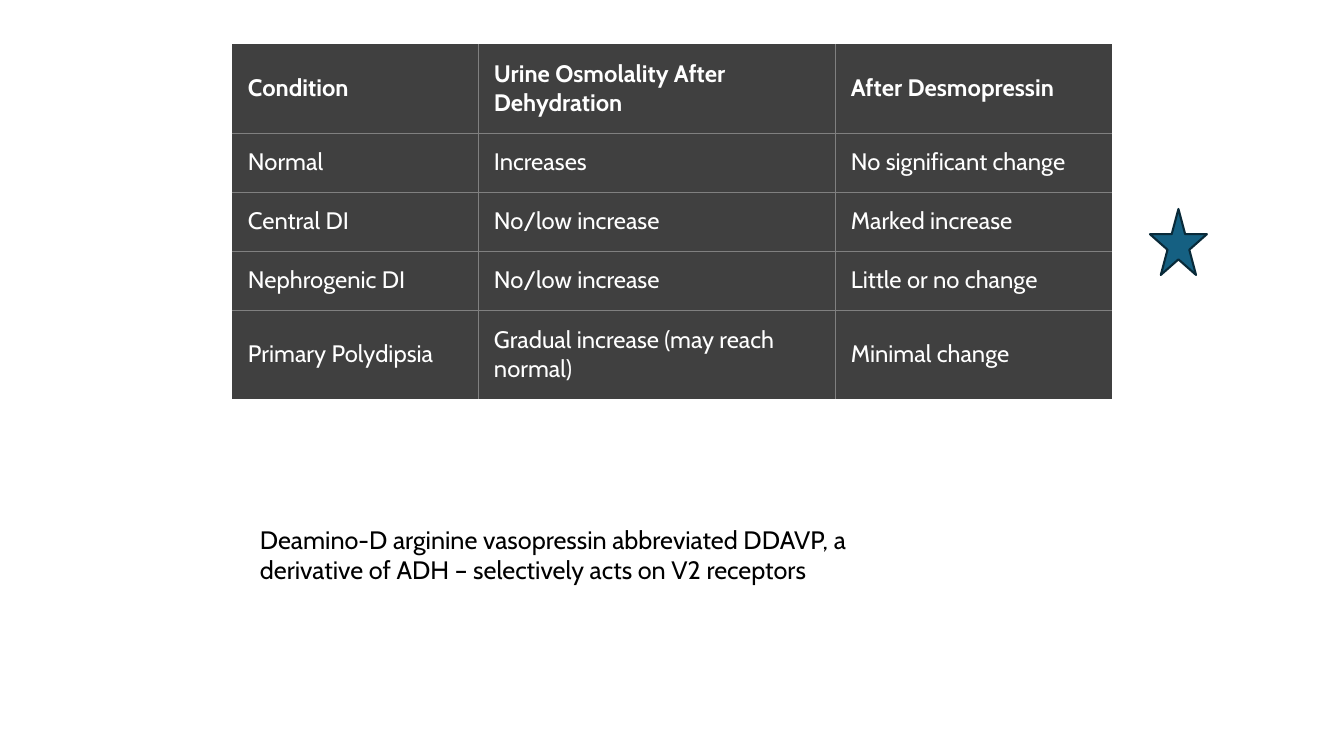
import lxml.etree
import pptx
import pptx.dml.color
import pptx.enum.shapes
import pptx.enum.text
import pptx.oxml
import pptx.oxml.ns
import pptx.util

PX = 914400 / 100.8
COLORS = {"cell": "404040", "grid": "808080", "light": "FFFFFF", "dark": "000000",
          "star": "156082", "star_line": "092A39"}
COL_WIDTHS = [246, 357, 277]
ROW_HEIGHTS = [89, 59, 59, 59, 89]
ROWS = [
    ["Condition", "Urine Osmolality After Dehydration", "After Desmopressin"],
    ["Normal", "Increases", "No significant change"],
    ["Central DI", "No/low increase", "Marked increase"],
    ["Nephrogenic DI", "No/low increase", "Little or no change"],
    ["Primary Polydipsia", "Gradual increase (may reach normal)", "Minimal change"],
]


def px(*lengths):
    return [pptx.util.Emu(round(n * PX)) for n in lengths]


def write(tf, text, size=18, color="dark", bold=False):
    r = tf.paragraphs[0].add_run()
    r.text = text
    r.font.name = "Cabin"
    r.font.size = pptx.util.Pt(size)
    r.font.bold = bold
    r.font.color.rgb = pptx.dml.color.RGBColor.from_string(COLORS[color])


prs = pptx.Presentation()
prs.slide_width, prs.slide_height = px(1344, 756)
s = prs.slides.add_slide(prs.slide_layouts[6])

# Table with grid lines between cells only
frame = s.shapes.add_table(len(ROWS), len(COL_WIDTHS),
                           *px(232, 44, sum(COL_WIDTHS), sum(ROW_HEIGHTS)))
table = frame.table
table.horz_banding = False
for column, width in zip(table.columns, px(*COL_WIDTHS)):
    column.width = width
for row, height in zip(table.rows, px(*ROW_HEIGHTS)):
    row.height = height

for i, row in enumerate(ROWS):
    for j, text in enumerate(row):
        cell = table.cell(i, j)
        cell.vertical_anchor = pptx.enum.text.MSO_ANCHOR.MIDDLE
        cell.margin_left, cell.margin_top, cell.margin_right, cell.margin_bottom = px(16, 12, 12, 12)
        cell.fill.solid()
        cell.fill.fore_color.rgb = pptx.dml.color.RGBColor.from_string(COLORS["cell"])
        write(cell.text_frame, text, size=17, color="light", bold=i == 0)
        inner = {"lnL": j > 0, "lnR": j < len(row) - 1, "lnT": i > 0, "lnB": i < len(ROWS) - 1}
        tcPr = cell._tc.get_or_add_tcPr()
        for n, (side, shown) in enumerate(inner.items()):
            ln = pptx.oxml.parse_xml(f'<a:{side} {pptx.oxml.ns.nsdecls("a")} w="6350"/>')
            if shown:
                fill = lxml.etree.SubElement(ln, pptx.oxml.ns.qn("a:solidFill"))
                lxml.etree.SubElement(fill, pptx.oxml.ns.qn("a:srgbClr"), val=COLORS["grid"])
            else:
                lxml.etree.SubElement(ln, pptx.oxml.ns.qn("a:noFill"))
            tcPr.insert(n, ln)

# Note on desmopressin
note = s.shapes.add_textbox(*px(250, 519, 638, 72))
note.text_frame.word_wrap = True
note.text_frame.auto_size = pptx.enum.text.MSO_AUTO_SIZE.SHAPE_TO_FIT_TEXT
write(note.text_frame, "Deamino-D arginine vasopressin abbreviated DDAVP, a derivative of ADH – "
                       "selectively acts on V2 receptors")

# Star beside the central DI row
star = s.shapes.add_shape(pptx.enum.shapes.MSO_SHAPE.STAR_5_POINT, *px(1150, 209, 57, 66))
star.shadow.inherit = False
star.fill.solid()
star.fill.fore_color.rgb = pptx.dml.color.RGBColor.from_string(COLORS["star"])
star.line.color.rgb = pptx.dml.color.RGBColor.from_string(COLORS["star_line"])
star.line.width = pptx.util.Pt(1.5)

prs.save("out.pptx")
